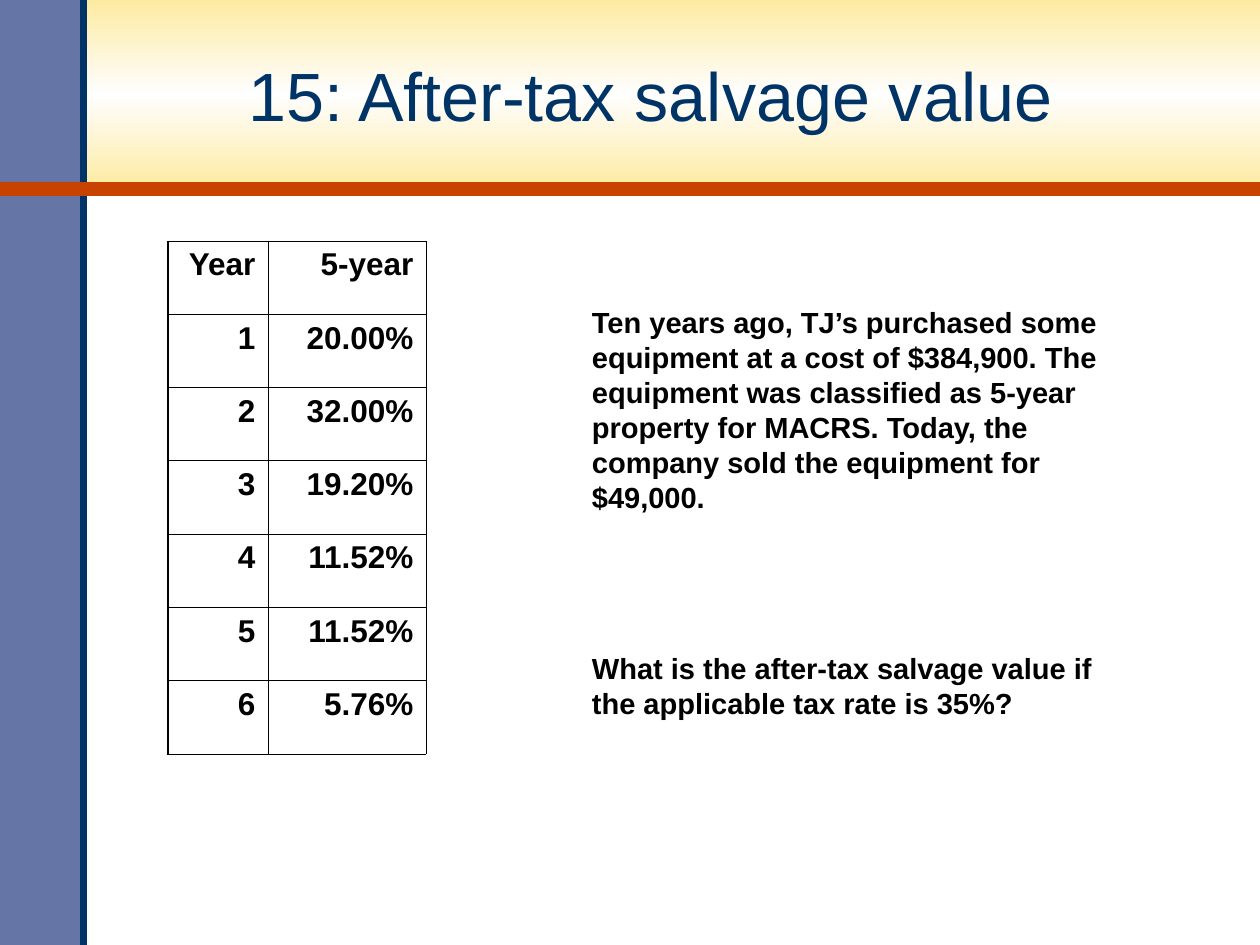
from copy import deepcopy

from lxml.etree import SubElement
from pptx import Presentation
from pptx.dml.color import RGBColor
from pptx.enum.shapes import MSO_CONNECTOR, MSO_SHAPE
from pptx.enum.text import MSO_ANCHOR, PP_ALIGN
from pptx.oxml.ns import qn
from pptx.util import Emu, Pt

PX = 914400 / 126
SLIDE = (0, 0, 1260, 945)
NAVY = RGBColor(0x00, 0x33, 0x66)
BLUE = RGBColor(0x64, 0x75, 0xA6)
RUST = RGBColor(0xC8, 0x43, 0x00)
CREAM = RGBColor(0xFD, 0xEB, 0xA1)
PALE = RGBColor(0xFE, 0xFE, 0xFE)
BLACK = RGBColor(0x00, 0x00, 0x00)

TITLE_FONT = {"name": "Arial", "size": Pt(39), "bold": False}
CELL_FONT = {"name": "Arial", "size": Pt(18), "bold": True}
BODY_FONT = {"name": "Arial", "size": Pt(16.6), "bold": True}

RATES = [
    ("Year", "5-year"),
    ("1", "20.00%"),
    ("2", "32.00%"),
    ("3", "19.20%"),
    ("4", "11.52%"),
    ("5", "11.52%"),
    ("6", "5.76%"),
]
QUESTION = [
    "Ten years ago, TJ’s purchased some equipment at a cost of $384,900. "
    "The equipment was classified as 5-year property for MACRS. "
    "Today, the company sold the equipment for $49,000.",
    "What is the after-tax salvage value if the applicable tax rate is 35%?",
]


def px(*lengths):
    return [Emu(round(length * PX)) for length in lengths]


def apply_format(target, values):
    for name, value in values.items():
        setattr(target, name, value)


def write(paragraph, text, font, color):
    paragraph.text = text
    apply_format(paragraph.font, font)
    paragraph.font.color.rgb = color


def add_rectangle(slide, box):
    shape = slide.shapes.add_shape(MSO_SHAPE.RECTANGLE, *px(*box))
    shape.shadow.inherit = False
    shape.line.fill.background()
    return shape


def add_rule(slide, ends, color, width):
    connector = slide.shapes.add_connector(MSO_CONNECTOR.STRAIGHT, *px(*ends))
    connector.line.color.rgb = color
    connector.line.width = Pt(width)
    SubElement(connector._element.spPr, qn("a:effectLst"))


def add_backdrop(slide, box, band_height, bar_width):
    left, top, width, height = box
    band = add_rectangle(slide, (left, top, width, band_height))
    band.fill.gradient()
    band.fill.gradient_angle = 270
    stop_list = band._element.spPr.find(".//" + qn("a:gsLst"))
    stop_list.append(deepcopy(stop_list[-1]))
    for stop, position, color in zip(band.fill.gradient_stops, (0, 0.5, 1), (CREAM, PALE, CREAM)):
        stop.position = position
        stop.color.rgb = color

    bar = add_rectangle(slide, (left, top, bar_width, height))
    bar.fill.solid()
    bar.fill.fore_color.rgb = BLUE

    add_rule(slide, (left + bar_width, top + height, left + bar_width, top), NAVY, 4)
    add_rule(slide, (left, top + band_height, left + width, top + band_height), RUST, 8)


def place_title(slide, box, text):
    title = slide.shapes.title
    slide.shapes._spTree.append(title._element)
    title.left, title.top, title.width, title.height = px(*box)
    title.text_frame.vertical_anchor = MSO_ANCHOR.MIDDLE
    paragraph = title.text_frame.paragraphs[0]
    write(paragraph, text, TITLE_FONT, NAVY)
    paragraph.alignment = PP_ALIGN.CENTER


def add_border(cell, side, width):
    properties = cell._tc.get_or_add_tcPr()
    line = SubElement(properties, qn("a:ln" + side), w=str(Pt(width)))
    fill = SubElement(line, qn("a:solidFill"))
    SubElement(fill, qn("a:srgbClr"), val=str(BLACK))


def add_rate_table(slide, box, column_widths):
    table = slide.shapes.add_table(len(RATES), len(column_widths), *px(*box)).table
    apply_format(table, {"first_row": False, "horz_banding": False})
    for column, width in zip(table.columns, px(*column_widths)):
        column.width = width
    for row, values in zip(table.rows, RATES):
        for column_index, (cell, value) in enumerate(zip(row.cells, values)):
            for side in "LRTB":
                add_border(cell, side, 1.08 if side == "L" and column_index == 0 else 0.45)
            cell.fill.background()
            paragraph = cell.text_frame.paragraphs[0]
            write(paragraph, value, CELL_FONT, BLACK)
            paragraph.alignment = PP_ALIGN.RIGHT


def add_question(slide, box):
    frame = slide.shapes.add_textbox(*px(*box)).text_frame
    margin_left, margin_top = px(35, 62)
    apply_format(frame, {"word_wrap": True, "margin_left": margin_left, "margin_top": margin_top})
    for index, text in enumerate(QUESTION):
        paragraph = frame.add_paragraph() if index else frame.paragraphs[0]
        write(paragraph, text, BODY_FONT, BLACK)
        paragraph.line_spacing = Pt(20)
        if index:
            paragraph.space_before = Pt(78)


def main():
    presentation = Presentation()
    presentation.slide_width, presentation.slide_height = px(*SLIDE[2:])
    slide = presentation.slides.add_slide(presentation.slide_layouts[5])
    add_backdrop(slide, SLIDE, 189, 84)
    place_title(slide, (81, 19, 1139, 151), "15: After-tax salvage value")
    add_question(slide, (557, 242, 577, 513))
    add_rate_table(slide, (168, 241, 258, 513), (100, 158))
    presentation.save("out.pptx")


if __name__ == "__main__":
    main()
